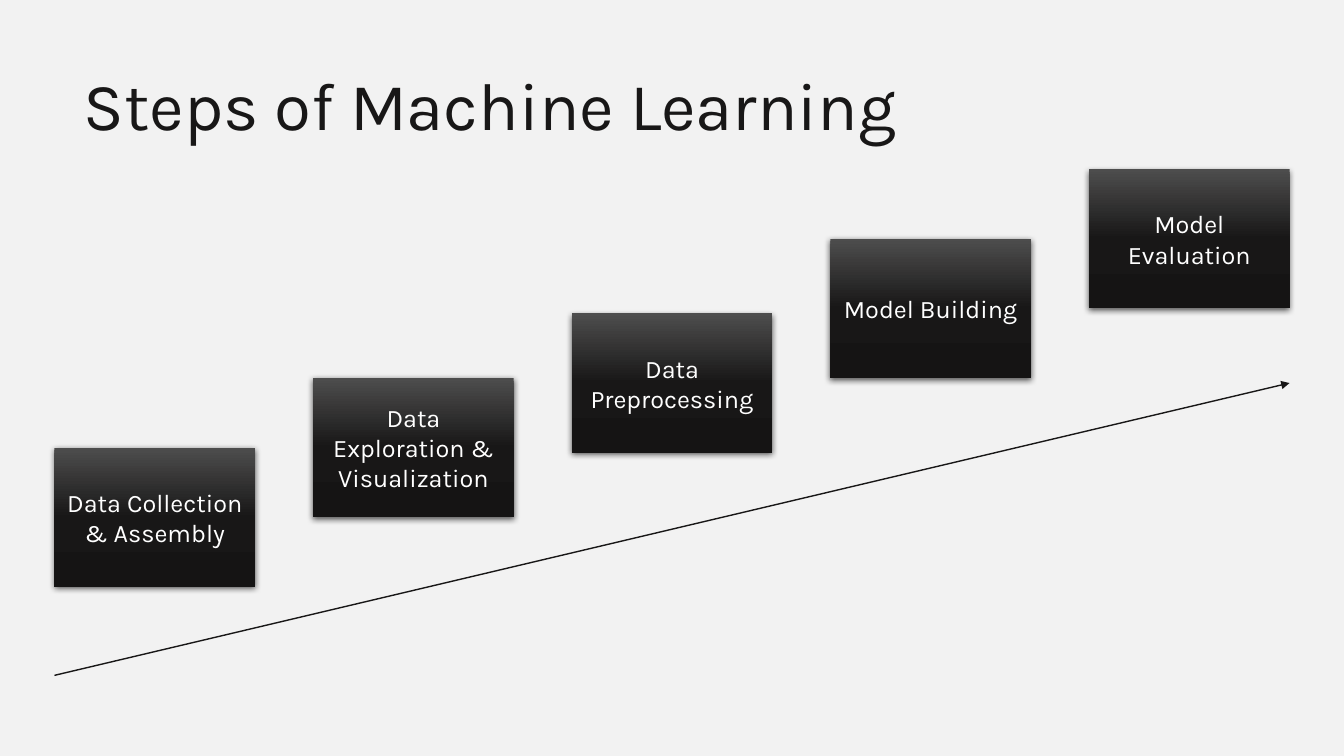
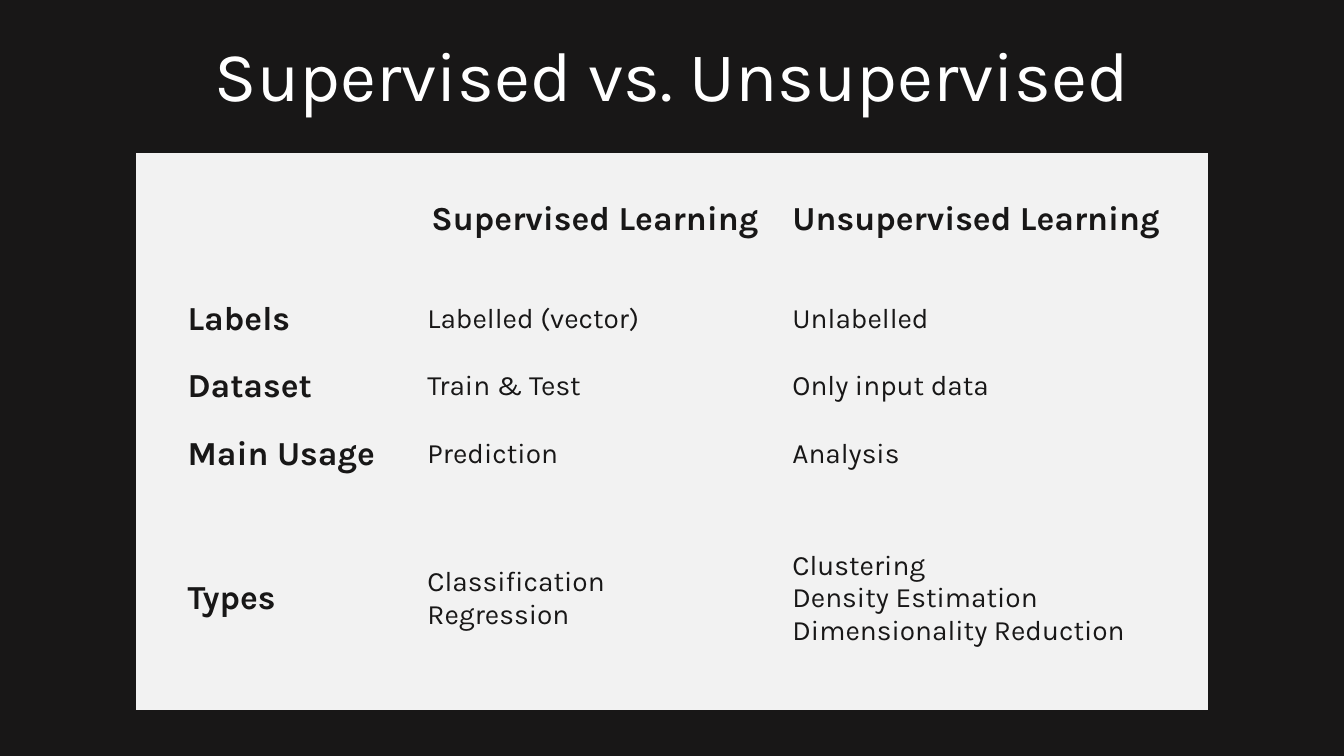
"""Build two slides: the steps of machine learning, and supervised vs. unsupervised learning."""
import copy

import pptx
import pptx.dml.color
import pptx.enum.shapes
import pptx.enum.text
import pptx.oxml
import pptx.oxml.ns
import pptx.util

Inches = pptx.util.Inches
Pt = pptx.util.Pt
RGBColor = pptx.dml.color.RGBColor
PP_ALIGN = pptx.enum.text.PP_ALIGN
MIDDLE = pptx.enum.text.MSO_ANCHOR.MIDDLE
qn = pptx.oxml.ns.qn

FONT = "Karla"
DARK = RGBColor(0x18, 0x17, 0x17)
LIGHT = RGBColor(0xF2, 0xF2, 0xF2)
WHITE = RGBColor(0xFF, 0xFF, 0xFF)
BOX_GRADIENT = [
    (0, RGBColor(0x4D, 0x4D, 0x4D)),
    (0.5, DARK),
    (1, RGBColor(0x15, 0x14, 0x14)),
]
NO_STYLE_NO_GRID = "{2D5ABB26-0587-4C30-8999-92F81FD0307C}"

STEPS = [
    ("Data Collection\n& Assembly", 4.44),
    ("Data Exploration & Visualization", 3.75),
    ("Data Preprocessing", 3.11),
    ("Model Building", 2.37),
    ("Model Evaluation", 1.68),
]
STEPS_LEFT, STEPS_RIGHT = 0.54, 12.79
BOX_WIDTH, BOX_HEIGHT = 1.99, 1.38
ARROW_START_Y, ARROW_END_Y = 6.7, 3.8

COMPARISON = [
    ("", "Supervised Learning", "Unsupervised Learning"),
    ("Labels", "Labelled (vector)", "Unlabelled"),
    ("Dataset", "Train & Test", "Only input data"),
    ("Main Usage", "Prediction", "Analysis"),
    ("Types", "Classification\nRegression",
     "Clustering\nDensity Estimation\nDimensionality Reduction"),
]
COLUMN_WIDTHS = [2.67, 3.74, 4.22]
ROW_HEIGHTS = [1.31, 0.67, 0.67, 0.67, 2.2]
HEADER_INDENTS = [0.51, 0.26, 0.1]
BODY_INDENTS = [0.51, 0.22, 0.1]


def format_text(tf, size, color, align=PP_ALIGN.LEFT, bold=False):
    for p in tf.paragraphs:
        p.alignment = align
        for r in p.runs:
            r.font.name = FONT
            r.font.size = Pt(size)
            r.font.bold = bold
            r.font.color.rgb = color


def add_slide(prs, background, title, box, size, color, align):
    s = prs.slides.add_slide(prs.slide_layouts[5])
    s.background.fill.solid()
    s.background.fill.fore_color.rgb = background
    sp = s.shapes.title
    sp.left, sp.top, sp.width, sp.height = map(Inches, box)
    tf = sp.text_frame
    tf.text = title
    tf.auto_size = pptx.enum.text.MSO_AUTO_SIZE.NONE
    tf.vertical_anchor = pptx.enum.text.MSO_ANCHOR.TOP
    format_text(tf, size, color, align)
    return s


def add_step(s, text, left, top):
    sp = s.shapes.add_shape(
        pptx.enum.shapes.MSO_SHAPE.RECTANGLE,
        Inches(left), Inches(top), Inches(BOX_WIDTH), Inches(BOX_HEIGHT))
    sp.line.fill.background()
    sp.fill.gradient()
    sp.fill.gradient_angle = 270
    stops = next(sp._element.spPr.iter(qn("a:gsLst")))
    stops.append(copy.deepcopy(stops[0]))
    for stop, (position, color) in zip(sp.fill.gradient_stops, BOX_GRADIENT):
        stop.position = position
        stop.color.rgb = color
    sp.shadow.inherit = False
    sp._element.spPr.find(qn("a:effectLst")).append(pptx.oxml.parse_xml(
        f'<a:outerShdw {pptx.oxml.ns.nsdecls("a")} blurRad="{Pt(4.5)}" dist="{Pt(1.5)}" '
        'dir="5400000" algn="ctr" rotWithShape="0">'
        '<a:srgbClr val="000000"><a:alpha val="63000"/></a:srgbClr></a:outerShdw>'))
    tf = sp.text_frame
    tf.text = text
    tf.word_wrap = True
    tf.vertical_anchor = MIDDLE
    format_text(tf, 18, WHITE, PP_ALIGN.CENTER)


def add_arrow(s):
    arrow = s.shapes.add_connector(
        pptx.enum.shapes.MSO_CONNECTOR.STRAIGHT,
        Inches(STEPS_LEFT), Inches(ARROW_START_Y),
        Inches(STEPS_RIGHT), Inches(ARROW_END_Y))
    arrow.line.color.rgb = DARK
    arrow.line.width = Pt(1)
    ln = arrow.line._get_or_add_ln()
    ln.append(ln.makeelement(qn("a:tailEnd"), {"type": "triangle"}))
    spPr = arrow._element.spPr
    spPr.append(spPr.makeelement(qn("a:effectLst"), {}))


def add_comparison(s):
    frame = s.shapes.add_table(
        len(ROW_HEIGHTS), len(COLUMN_WIDTHS), Inches(1.35), Inches(1.52),
        Inches(sum(COLUMN_WIDTHS)), Inches(sum(ROW_HEIGHTS)))
    table = frame.table
    table.horz_banding = False
    next(frame._element.iter(qn("a:tableStyleId"))).text = NO_STYLE_NO_GRID
    for column, width in zip(table.columns, COLUMN_WIDTHS):
        column.width = Inches(width)
    for row, height in zip(table.rows, ROW_HEIGHTS):
        row.height = Inches(height)
    for i, texts in enumerate(COMPARISON):
        indents = BODY_INDENTS if i else HEADER_INDENTS
        for j, text in enumerate(texts):
            cell = table.cell(i, j)
            cell.fill.solid()
            cell.fill.fore_color.rgb = LIGHT
            cell.vertical_anchor = MIDDLE
            cell.margin_left = Inches(indents[j])
            cell.text_frame.text = text
            heading = i == 0 or j == 0
            format_text(cell.text_frame, 24 if heading else 20, DARK, bold=heading)


def main():
    prs = pptx.Presentation()
    prs.slide_width, prs.slide_height = Inches(13.33), Inches(7.5)

    s = add_slide(prs, LIGHT, "Steps of Machine Learning",
                  (0.73, 0.58, 8.98, 0.91), 48, DARK, PP_ALIGN.LEFT)
    pitch = (STEPS_RIGHT - BOX_WIDTH - STEPS_LEFT) / (len(STEPS) - 1)
    for i, (text, top) in enumerate(STEPS):
        add_step(s, text, STEPS_LEFT + i * pitch, top)
    add_arrow(s)

    s = add_slide(prs, DARK, "Supervised vs. Unsupervised",
                  (1.92, 0.26, 9.5, 0.94), 50, WHITE, PP_ALIGN.CENTER)
    add_comparison(s)

    prs.save("out.pptx")


if __name__ == "__main__":
    main()
